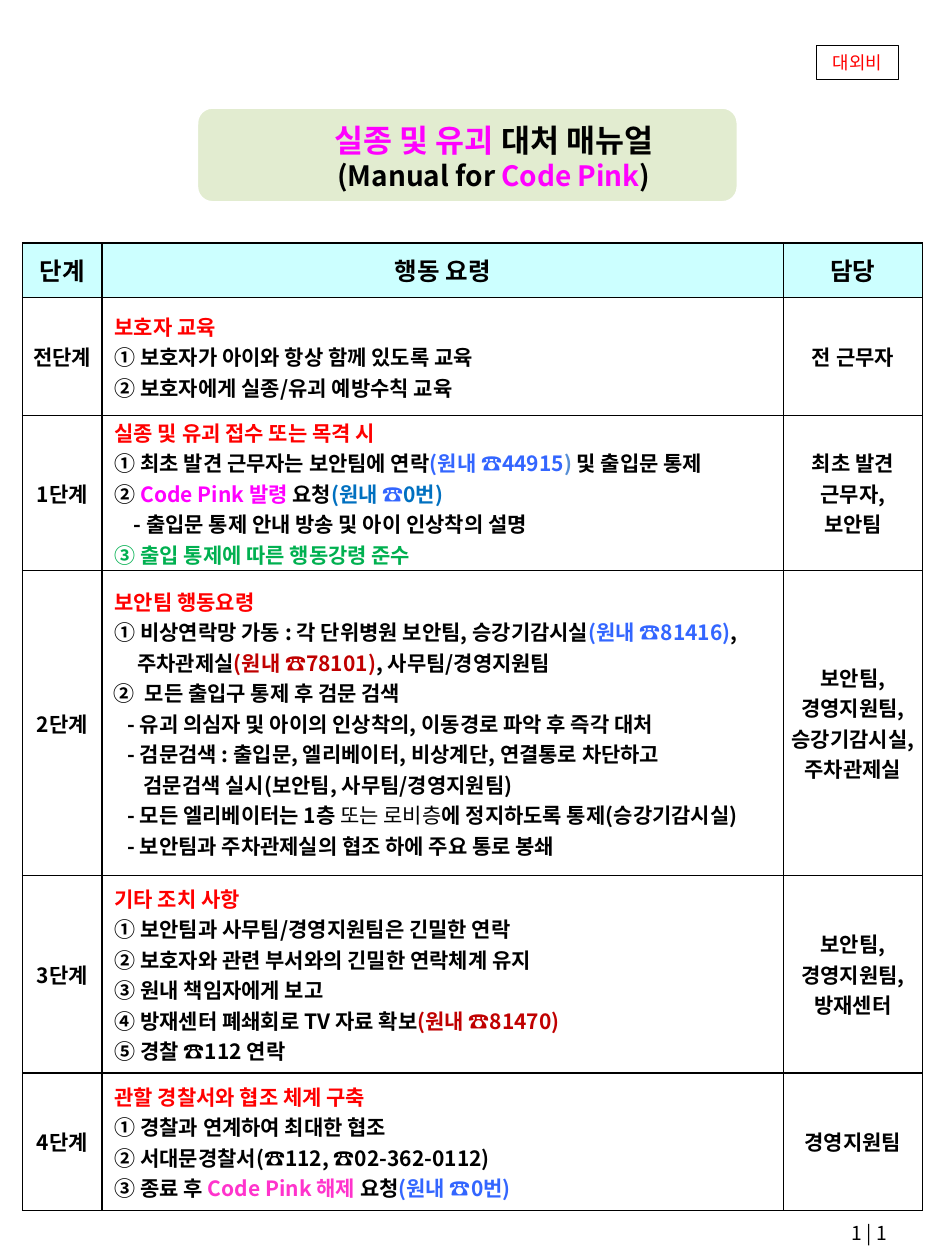
from lxml import etree
from pptx import Presentation
from pptx.dml.color import RGBColor as RGB
from pptx.enum.shapes import MSO_SHAPE as SHAPE
from pptx.enum.text import MSO_ANCHOR as ANCHOR, MSO_AUTO_SIZE as AUTO, PP_ALIGN as ALIGN
from pptx.oxml import parse_xml
from pptx.oxml.ns import nsdecls, qn
from pptx.util import Inches, Pt

THEME = {
    "font": "Noto Sans CJK KR",
    "colors": {
        "black": "000000", "white": "FFFFFF", "red": "FF0000", "magenta": "FF00FF",
        "pink": "FF33CC", "blue": "3366FF", "steel": "558ED5", "ocean": "0070C0",
        "green": "00B050", "crimson": "C00000", "header": "CCFFFF", "banner": "D7E4BD",
    },
    "sizes": {"title": 18, "subtitle": 16, "header": 14, "body": 12, "page": 11, "tag": 10.2},
}
HANG = (0.3, -0.2)
NUMBERED = (0.34, -0.25)
COLUMNS = (0.63, 5.41, 1.1)
ROW_HEIGHTS = (0.43, 0.94, 1.23, 2.2, 1.57, 1.09)
HEADERS = ("단계", "행동 요령", "담당")


def line(*runs, indent=HANG, start=None):
    return {"runs": runs, "indent": indent, "start": start}


def sub(*runs, at):
    return line(*runs, indent=(0.3, round(at - 0.3, 2)))


STAGES = [
    ("전단계", [
        line(("보호자 교육", "red")),
        line("① 보호자가 아이와 항상 함께 있도록 교육"),
        line("② 보호자에게 실종/유괴 예방수칙 교육"),
    ], ["전 근무자"]),
    ("1단계", [
        line(("실종 및 유괴 접수 또는 목격 시", "red")),
        line("① 최초 발견 근무자는 보안팀에 연락", ("(원내 ☎44915", "blue"), (") ", "steel"),
             "및 출입문 통제"),
        line("② ", ("Code Pink 발령 ", "magenta"), "요청", ("(원내 ", "ocean"), ("☎", "blue"),
             ("0번)", "ocean")),
        sub("- 출입문 통제 안내 방송 및 아이 인상착의 설명", at=0.25),
        line(("③ 출입 통제에 따른 행동강령 준수", "green")),
    ], ["최초 발견", "근무자,", "보안팀"]),
    ("2단계", [
        line(("보안팀 행동요령", "red")),
        line("① 비상연락망 가동 : 각 단위병원 보안팀, 승강기감시실", ("(원내 ☎81416)", "blue"), ","),
        sub("주차관제실", ("(원내 ☎78101)", "crimson"), ", 사무팀/경영지원팀", at=0.28),
        line("모든 출입구 통제 후 검문 검색", indent=NUMBERED, start=2),
        sub("- 유괴 의심자 및 아이의 인상착의, 이동경로 파악 후 즉각 대처", at=0.2),
        sub("- 검문검색 : 출입문, 엘리베이터, 비상계단, 연결통로 차단하고", at=0.2),
        sub("검문검색 실시(보안팀, 사무팀/경영지원팀)", at=0.33),
        sub("- 모든 엘리베이터는 1층 ", ("또는 로비층", "black", False),
            "에 정지하도록 통제(승강기감시실)", at=0.2),
        sub("- 보안팀과 주차관제실의 협조 하에 주요 통로 봉쇄", at=0.2),
    ], ["보안팀,", "경영지원팀,", "승강기감시실,", "주차관제실"]),
    ("3단계", [
        line(("기타 조치 사항", "red")),
        line("① 보안팀과 사무팀/경영지원팀은 긴밀한 연락"),
        line("② 보호자와 관련 부서와의 긴밀한 연락체계 유지"),
        line("③ 원내 책임자에게 보고"),
        line("④ 방재센터 폐쇄회로 TV 자료 확보", ("(원내 ☎81470)", "crimson")),
        line("⑤ 경찰 ☎112 연락"),
    ], ["보안팀,", "경영지원팀,", "방재센터"]),
    ("4단계", [
        line(("관할 경찰서와 협조 체계 구축", "red")),
        line("① 경찰과 연계하여 최대한 협조"),
        line("② 서대문경찰서(☎112, ☎02-362-0112)"),
        line("③ 종료 후 ", ("Code Pink 해제 ", "pink"), "요청", ("(원내 ☎0번)", "blue")),
    ], ["경영지원팀"]),
]


def color(name):
    return RGB.from_string(THEME["colors"][name])


def set_attrs(obj, values):
    for name, value in values.items():
        setattr(obj, name, value)


def add_run(p, size, text, tone="black", bold=True):
    r = p.add_run()
    r.text = text
    set_attrs(r.font, {"size": Pt(THEME["sizes"][size]), "bold": bold, "name": THEME["font"]})
    r.font.color.rgb = color(tone)
    etree.SubElement(r.font._element, qn("a:ea"), typeface=THEME["font"])


def add_runs(p, runs, size):
    for run in runs:
        add_run(p, size, *((run,) if isinstance(run, str) else run))


def next_paragraph(tf, index):
    return tf.add_paragraph() if index else tf.paragraphs[0]


def set_indent(p, indent, start):
    pPr = p._p.get_or_add_pPr()
    margin, first = indent
    pPr.set("marL", str(Inches(margin)))
    pPr.set("indent", str(Inches(first)))
    if start:
        etree.SubElement(pPr, qn("a:buFont"), typeface=THEME["font"])
        etree.SubElement(pPr, qn("a:buAutoNum"), type="circleNumDbPlain", startAt=str(start))


def add_borders(cell):
    tcPr = cell._tc.get_or_add_tcPr()
    for i, side in enumerate(("lnL", "lnR", "lnT", "lnB")):
        tcPr.insert(i, parse_xml(
            f'<a:{side} {nsdecls("a")} w="{Pt(1)}"><a:solidFill>'
            f'<a:srgbClr val="{THEME["colors"]["black"]}"/></a:solidFill></a:{side}>'))


def format_cell(cell, fill=None):
    set_attrs(cell, {"margin_left": 0, "margin_right": 0, "margin_top": 0, "margin_bottom": 0,
                     "vertical_anchor": ANCHOR.MIDDLE})
    if fill:
        cell.fill.solid()
        cell.fill.fore_color.rgb = color(fill)
    else:
        cell.fill.background()
    add_borders(cell)


def fill_centered(cell, texts, size="body"):
    for i, text in enumerate(texts):
        p = next_paragraph(cell.text_frame, i)
        p.alignment = ALIGN.CENTER
        add_run(p, size, text)


def fill_actions(cell, lines):
    cell.margin_right = Inches(0.04)
    for i, entry in enumerate(lines):
        p = next_paragraph(cell.text_frame, i)
        set_indent(p, entry["indent"], entry["start"])
        add_runs(p, entry["runs"], "body")


def add_manual_table(slide):
    table = slide.shapes.add_table(
        len(ROW_HEIGHTS), len(COLUMNS), Inches(0.18), Inches(1.93),
        Inches(sum(COLUMNS)), Inches(sum(ROW_HEIGHTS))).table
    table.horz_banding = False
    for column, width in zip(table.columns, COLUMNS):
        column.width = Inches(width)
    for row, height in zip(table.rows, ROW_HEIGHTS):
        row.height = Inches(height)
    for i, text in enumerate(HEADERS):
        format_cell(table.cell(0, i), "header")
        fill_centered(table.cell(0, i), [text], "header")
    for row, (stage, actions, staff) in enumerate(STAGES, 1):
        for col in range(len(COLUMNS)):
            format_cell(table.cell(row, col))
        fill_centered(table.cell(row, 0), [stage])
        fill_actions(table.cell(row, 1), actions)
        fill_centered(table.cell(row, 2), staff)


def add_box(slide, kind, box, fill, outline, width):
    sp = slide.shapes.add_shape(kind, *map(Inches, box))
    sp.shadow.inherit = False
    sp.fill.solid()
    sp.fill.fore_color.rgb = color(fill)
    sp.line.color.rgb = color(outline)
    sp.line.width = Pt(width)
    return sp


def add_banner(slide):
    sp = add_box(slide, SHAPE.ROUNDED_RECTANGLE, (1.56, 0.85, 4.3, 0.76), "banner", "white", 2)
    tone = sp._element.spPr.find(qn("a:solidFill"))[0]
    etree.SubElement(tone, qn("a:alpha"), val="70000")


def add_title(slide):
    sp = slide.shapes.title
    set_attrs(sp, {"left": Inches(1.28), "top": Inches(0.91),
                   "width": Inches(5.28), "height": Inches(0.67)})
    tf = sp.text_frame
    set_attrs(tf, {"word_wrap": True, "auto_size": AUTO.NONE, "vertical_anchor": ANCHOR.TOP})
    lines = [("title", [("실종 및 유괴 ", "magenta"), "대처 매뉴얼"]),
             ("subtitle", ["(Manual for ", ("Code Pink", "magenta"), ")"])]
    for i, (size, runs) in enumerate(lines):
        p = next_paragraph(tf, i)
        p.alignment = ALIGN.CENTER
        add_runs(p, runs, size)
    sp.element.getparent().append(sp.element)


def add_page_number(slide):
    sp = slide.shapes.add_textbox(*map(Inches, (6.66, 9.64, 0.73, 0.29)))
    sp.text_frame.word_wrap = True
    add_run(sp.text_frame.paragraphs[0], "page", "1 | 1", bold=False)


def add_tag(slide):
    sp = add_box(slide, SHAPE.RECTANGLE, (6.48, 0.36, 0.65, 0.27), "white", "black", 0.5)
    sp.text_frame.vertical_anchor = ANCHOR.MIDDLE
    p = sp.text_frame.paragraphs[0]
    p.alignment = ALIGN.CENTER
    add_run(p, "tag", "대외비", "red", bold=False)


def main():
    prs = Presentation()
    set_attrs(prs, {"slide_width": Inches(7.5), "slide_height": Inches(10)})
    slide = prs.slides.add_slide(prs.slide_layouts[5])
    add_manual_table(slide)
    add_banner(slide)
    add_title(slide)
    add_page_number(slide)
    add_tag(slide)
    prs.save("out.pptx")


if __name__ == "__main__":
    main()
